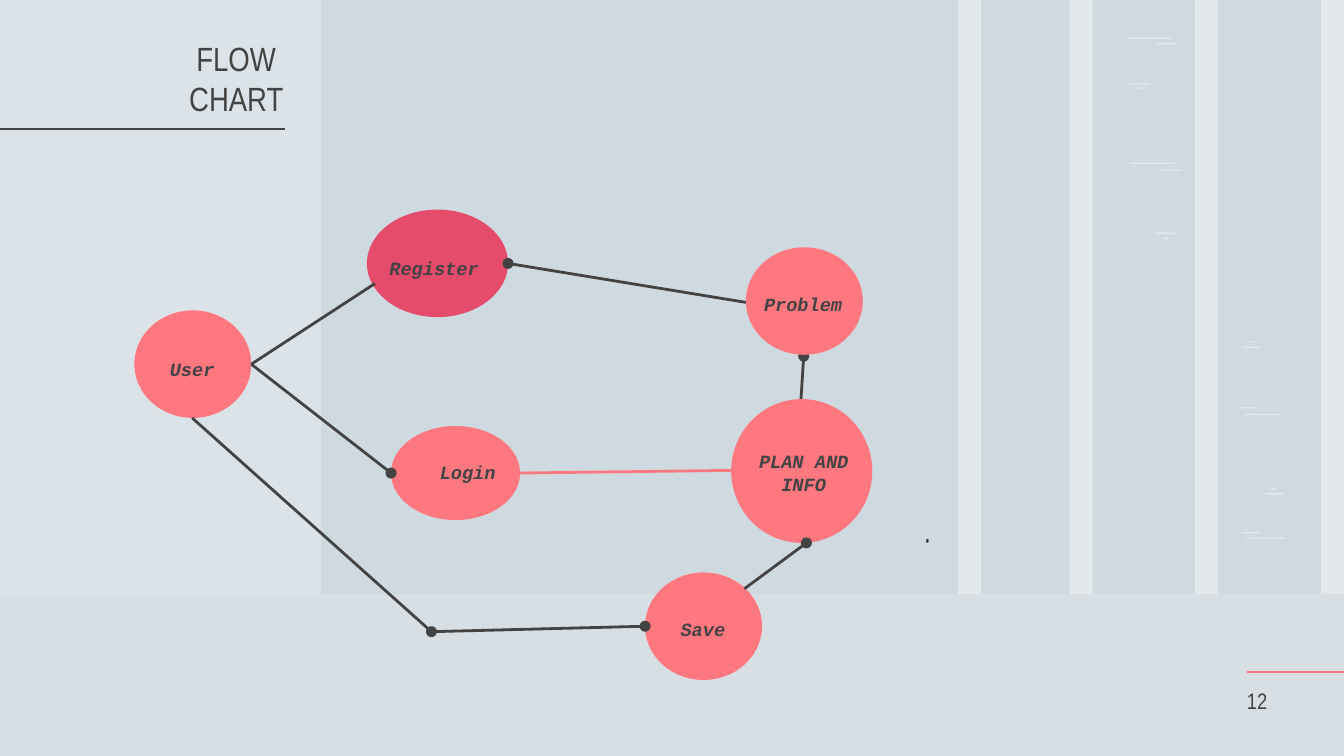
from dataclasses import dataclass

from lxml.etree import SubElement
from pptx import Presentation
from pptx.dml.color import RGBColor
from pptx.enum.shapes import MSO_CONNECTOR, MSO_SHAPE
from pptx.enum.text import MSO_ANCHOR, MSO_AUTO_SIZE, PP_ALIGN
from pptx.oxml.ns import qn
from pptx.util import Inches, Pt

COLORS = {
    "background": "CFD9E0",
    "white": "FFFFFF",
    "dark": "434343",
    "coral": "FF787F",
    "crimson": "E54C6B",
}
HEADING_FONT = "Arial Narrow"
LABEL_FONT = "Courier New"
HORIZON = 4.42
PAGE_WIDTH = 10
PAGE_HEIGHT = PAGE_WIDTH * 9 / 16


@dataclass(frozen=True)
class Box:
    left: float
    top: float
    width: float
    height: float

    def lengths(self) -> tuple:
        return tuple(Inches(v) for v in (self.left, self.top, self.width, self.height))


@dataclass(frozen=True)
class Node:
    label: str
    oval: Box
    label_box: Box
    color: str = "coral"


@dataclass(frozen=True)
class Link:
    start: tuple[float, float]
    end: tuple[float, float]
    color: str = "dark"
    dot: bool = False


TRUNKS = [7.13, 7.96, 8.89, 9.83]
STREAKS = [
    (8.39, 0.28, 0.33), (8.6, 0.32, 0.16), (8.4, 0.62, 0.16), (8.46, 0.65, 0.06),
    (8.41, 1.21, 0.33), (8.63, 1.26, 0.16), (8.59, 1.73, 0.16), (8.65, 1.77, 0.06),
    (9.28, 2.54, 0.05), (9.24, 2.58, 0.14), (9.22, 3.03, 0.14), (9.26, 3.08, 0.28),
    (9.45, 3.63, 0.05), (9.41, 3.67, 0.14), (9.24, 3.96, 0.14), (9.27, 4, 0.29),
]
NODES = [
    Node("PLAN AND INFO", Box(5.44, 2.97, 1.05, 1.07), Box(5.53, 3.25, 0.9, 0.4)),
    Node("Login", Box(2.91, 3.17, 0.96, 0.7), Box(3.05, 3.33, 0.86, 0.4)),
    Node("Register", Box(2.73, 1.56, 1.05, 0.8), Box(2.75, 1.81, 0.96, 0.4), "crimson"),
    Node("User", Box(1, 2.31, 0.87, 0.8), Box(1, 2.56, 0.86, 0.4)),
    Node("Problem", Box(5.55, 1.84, 0.87, 0.8), Box(5.45, 2.08, 1.05, 0.4)),
    Node("Save", Box(4.8, 4.26, 0.87, 0.8), Box(4.8, 4.5, 0.86, 0.4)),
]
RULES = [
    Link((9.28, 5), (10, 5), "coral"),
    Link((-0.02, 0.96), (2.12, 0.96)),
]
PLAN_TO_PROBLEM = Link((5.96, 2.97), (5.98, 2.65), dot=True)
LINKS = [
    Link((3.87, 3.52), (5.44, 3.5), "coral"),
    Link((5.55, 2.25), (3.78, 1.96), dot=True),
    Link((1.87, 2.71), (2.91, 3.52), dot=True),
    Link((1.87, 2.71), (2.79, 2.11)),
    Link((5.54, 4.38), (6, 4.04), dot=True),
    Link((3.22, 4.7), (4.8, 4.66), dot=True),
    Link((1.43, 3.11), (3.21, 4.7), dot=True),
]


def rgb(name: str) -> RGBColor:
    return RGBColor.from_string(COLORS[name])


def add_filled(shapes, kind: MSO_SHAPE, box: Box, color: str, opacity: int = 100) -> None:
    shape = shapes.add_shape(kind, *box.lengths())
    shape.shadow.inherit = False
    shape.fill.solid()
    shape.fill.fore_color.rgb = rgb(color)
    shape.line.fill.background()
    if opacity < 100:
        tint = shape.fill._xPr.find(qn("a:solidFill"))[0]
        SubElement(tint, qn("a:alpha"), val=str(opacity * 1000))


def add_link(shapes, link: Link) -> None:
    points = [Inches(v) for v in (*link.start, *link.end)]
    connector = shapes.add_connector(MSO_CONNECTOR.STRAIGHT, *points)
    connector.line.color.rgb = rgb(link.color)
    connector.line.width = Pt(1.5)
    if link.dot:
        SubElement(connector.line._get_or_add_ln(), qn("a:tailEnd"), type="oval")
    SubElement(connector._element.spPr, qn("a:effectLst"))


def format_text(shape, text: str, font_name: str, size: int, alignment: PP_ALIGN,
                anchor: MSO_ANCHOR, emphasis: bool = False) -> None:
    frame = shape.text_frame
    frame.word_wrap = True
    frame.auto_size = MSO_AUTO_SIZE.NONE
    frame.vertical_anchor = anchor
    frame.margin_left = frame.margin_right = Inches(0.1)
    frame.margin_top = frame.margin_bottom = Inches(0.1)
    para = frame.paragraphs[0]
    para.text = text
    para.alignment = alignment
    para.font.name = font_name
    para.font.size = Pt(size)
    para.font.color.rgb = rgb("dark")
    para.font.bold = para.font.italic = emphasis


def add_backdrop(shapes) -> None:
    for left in TRUNKS:
        add_filled(shapes, MSO_SHAPE.RECTANGLE, Box(left, 0, 0.17, HORIZON), "white", 40)
    for left, top, width in STREAKS:
        add_filled(shapes, MSO_SHAPE.RECTANGLE, Box(left, top, width, 0.01), "white", 40)
    add_filled(shapes, MSO_SHAPE.RECTANGLE, Box(0, 0, 2.39, HORIZON), "white", 27)
    ground = Box(0, HORIZON, PAGE_WIDTH, PAGE_HEIGHT - HORIZON)
    add_filled(shapes, MSO_SHAPE.RECTANGLE, ground, "white", 17)
    for rule in RULES:
        add_link(shapes, rule)


def add_flow_chart(shapes) -> None:
    add_link(shapes, PLAN_TO_PROBLEM)
    for node in NODES:
        add_filled(shapes, MSO_SHAPE.OVAL, node.oval, node.color)
    for link in LINKS:
        add_link(shapes, link)
    for node in NODES:
        label = shapes.add_textbox(*node.label_box.lengths())
        format_text(label, node.label, LABEL_FONT, 10, PP_ALIGN.CENTER,
                    MSO_ANCHOR.TOP, emphasis=True)
    add_filled(shapes, MSO_SHAPE.OVAL, Box(6.89, 4.01, 0.02, 0.03), "dark")


def main() -> None:
    deck = Presentation()
    deck.slide_width, deck.slide_height = Inches(PAGE_WIDTH), Inches(PAGE_HEIGHT)
    page = deck.slides.add_slide(deck.slide_layouts[5])
    page.background.fill.solid()
    page.background.fill.fore_color.rgb = rgb("background")
    shapes = page.shapes

    add_backdrop(shapes)
    number = shapes.add_textbox(*Box(9.18, 4.89, 0.36, 0.52).lengths())
    format_text(number, "12", HEADING_FONT, 12, PP_ALIGN.LEFT, MSO_ANCHOR.BOTTOM)
    add_flow_chart(shapes)

    title = shapes.title
    title.left, title.top, title.width, title.height = Box(-0.02, 0.66, 2.23, 0.32).lengths()
    format_text(title, "FLOW \vCHART", HEADING_FONT, 18, PP_ALIGN.RIGHT, MSO_ANCHOR.BOTTOM)
    shapes._spTree.append(title._element)

    deck.save("out.pptx")


main()
